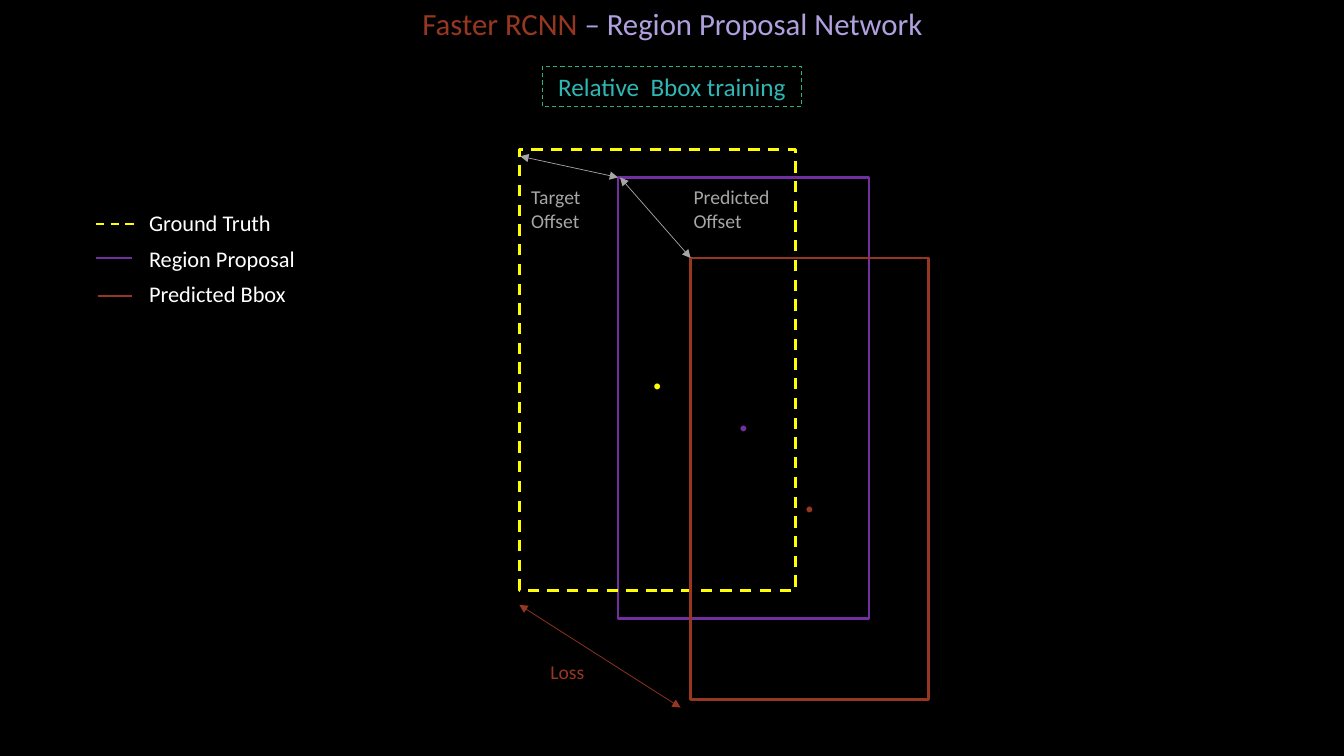
from pptx import Presentation
from pptx.dml.color import RGBColor
from pptx.enum.dml import MSO_LINE
from pptx.enum.shapes import MSO_CONNECTOR, MSO_SHAPE
from pptx.enum.text import MSO_ANCHOR, MSO_AUTO_SIZE, PP_ALIGN
from pptx.oxml.ns import qn
from pptx.util import Inches, Pt
from lxml.etree import SubElement

BLACK = RGBColor(0x00, 0x00, 0x00)
WHITE = RGBColor(0xFF, 0xFF, 0xFF)
YELLOW = RGBColor(0xFF, 0xFF, 0x00)
PURPLE = RGBColor(0x70, 0x30, 0xA0)
RUST = RGBColor(0x97, 0x37, 0x21)
GREY = RGBColor(0xA6, 0xA6, 0xA6)
LAVENDER = RGBColor(0xB0, 0xA0, 0xDD)
GREEN = RGBColor(0x29, 0xAF, 0x8C)
TEAL = RGBColor(0x2F, 0xB7, 0xB3)

presentation = Presentation()
presentation.slide_width = Inches(13.33)
presentation.slide_height = Inches(7.5)
slide = presentation.slides.add_slide(presentation.slide_layouts[5])
slide.background.fill.solid()
slide.background.fill.fore_color.rgb = BLACK


def add_run(paragraph, text, size, color):
    run = paragraph.add_run()
    run.text = text
    run.font.name = "Calibri"
    run.font.size = Pt(size)
    run.font.color.rgb = color
    return run


def add_line(start, end, color, width, dashed=False, arrows=False):
    points = [Inches(value) for value in (*start, *end)]
    line = slide.shapes.add_connector(MSO_CONNECTOR.STRAIGHT, *points)
    line.line.color.rgb = color
    line.line.width = Pt(width)
    if dashed:
        line.line.dash_style = MSO_LINE.DASH
    if arrows:
        for tag in ("a:headEnd", "a:tailEnd"):
            SubElement(line.line._get_or_add_ln(), qn(tag), type="triangle")
    SubElement(line._element.spPr, qn("a:effectLst"))


# Title
title = slide.shapes.title
title.left, title.top = Inches(2.48), Inches(0)
title.width, title.height = Inches(8.38), Inches(0.47)
title.text_frame.auto_size = MSO_AUTO_SIZE.NONE
title.text_frame.vertical_anchor = MSO_ANCHOR.TOP
title_paragraph = title.text_frame.paragraphs[0]
title_paragraph.alignment = PP_ALIGN.CENTER
add_run(title_paragraph, "Faster RCNN ", 22, RUST)
add_run(title_paragraph, "– Region Proposal Network", 22, LAVENDER)

# Outlined boxes: place, color, line width, dashed, text, size, text color, raised dot
boxes = [
    ((6.13, 1.76, 2.49, 4.38), PURPLE, 2, False, ".", 60, PURPLE, True),
    ((5.15, 1.48, 2.74, 4.38), YELLOW, 2, True, ".", 35, YELLOW, False),
    ((6.85, 2.56, 2.36, 4.38), RUST, 2, False, ".", 60, RUST, True),
    ((5.38, 0.66, 2.57, 0.4), GREEN, 0.75, True, "Relative  Bbox training", 18, TEAL, False),
]
for place, color, width, dashed, text, size, text_color, raised in boxes:
    box = slide.shapes.add_shape(MSO_SHAPE.RECTANGLE, *[Inches(value) for value in place])
    box.shadow.inherit = False
    box.fill.background()
    box.line.color.rgb = color
    box.line.width = Pt(width)
    if dashed:
        box.line.dash_style = MSO_LINE.DASH
    box.text_frame.vertical_anchor = MSO_ANCHOR.MIDDLE
    paragraph = box.text_frame.paragraphs[0]
    paragraph.alignment = PP_ALIGN.CENTER
    run = add_run(paragraph, text, size, text_color)
    if raised:
        paragraph.line_spacing = 1.5
        run.font._element.set("baseline", "30000")

# Legend keys
add_line((0.95, 2.22), (1.38, 2.22), YELLOW, 1.5, dashed=True)
add_line((0.95, 2.56), (1.31, 2.56), PURPLE, 1.5)
add_line((0.97, 2.94), (1.31, 2.94), RUST, 1.5)

# Offset and loss arrows
add_line((5.15, 6), (6.75, 7.02), RUST, 0.5, arrows=True)
add_line((5.16, 1.55), (6.13, 1.76), GREY, 0.5, arrows=True)
add_line((6.15, 1.76), (6.85, 2.56), GREY, 0.5, arrows=True)

# Legend and arrow labels: place, lines, size, color, wrap
labels = [
    ((1.38, 2.03, 1.43, 0.37), ["Ground Truth"], 16, WHITE, False),
    ((1.38, 2.38, 1.67, 0.37), ["Region Proposal"], 16, WHITE, False),
    ((1.38, 2.73, 1.75, 0.37), ["Predicted Bbox"], 16, WHITE, True),
    ((5.36, 6.5, 0.54, 0.34), ["Loss"], 14, RUST, False),
    ((6.78, 1.79, 0.98, 0.57), ["Predicted Offset"], 14, GREY, True),
    ((5.17, 1.79, 0.98, 0.57), ["Target", "Offset"], 14, GREY, True),
]
for place, lines, size, color, wrap in labels:
    label = slide.shapes.add_textbox(*[Inches(value) for value in place])
    frame = label.text_frame
    frame.word_wrap = wrap
    frame.auto_size = MSO_AUTO_SIZE.SHAPE_TO_FIT_TEXT
    for index, text in enumerate(lines):
        paragraph = frame.add_paragraph() if index else frame.paragraphs[0]
        add_run(paragraph, text, size, color)

presentation.save("out.pptx")
